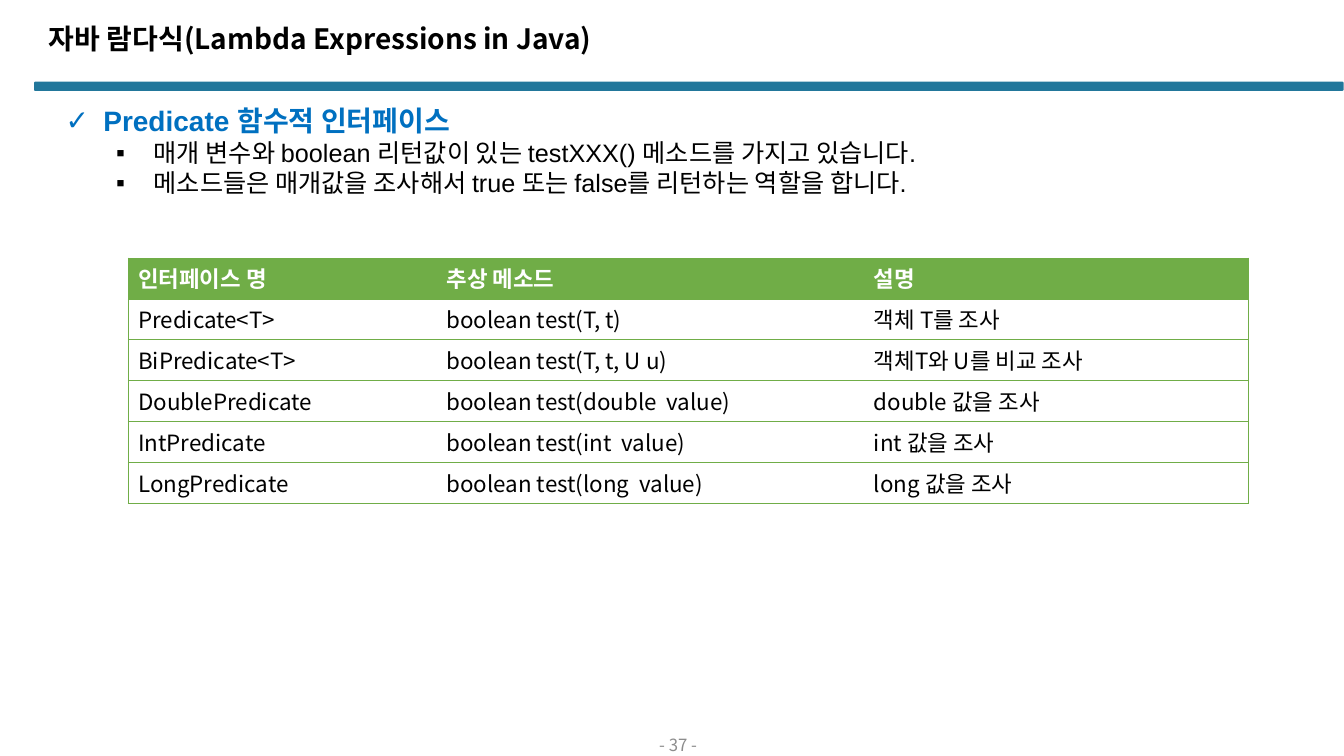
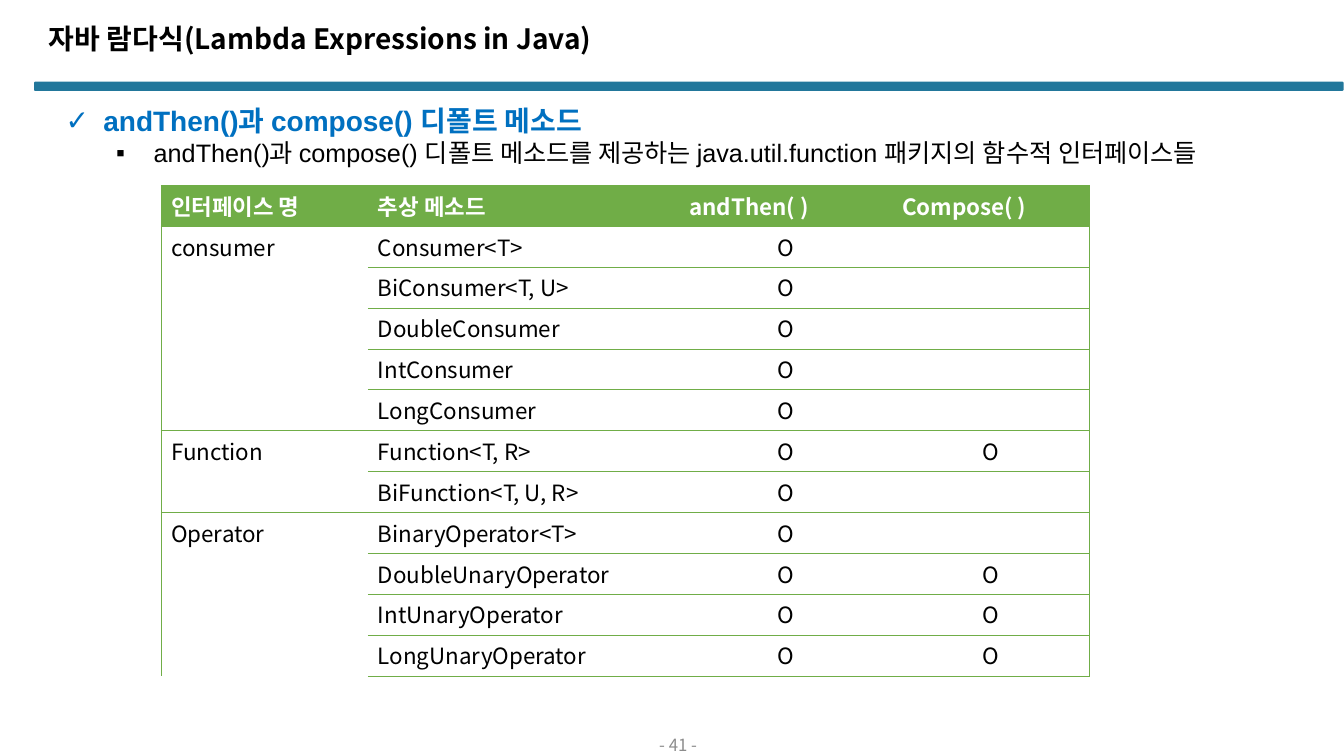
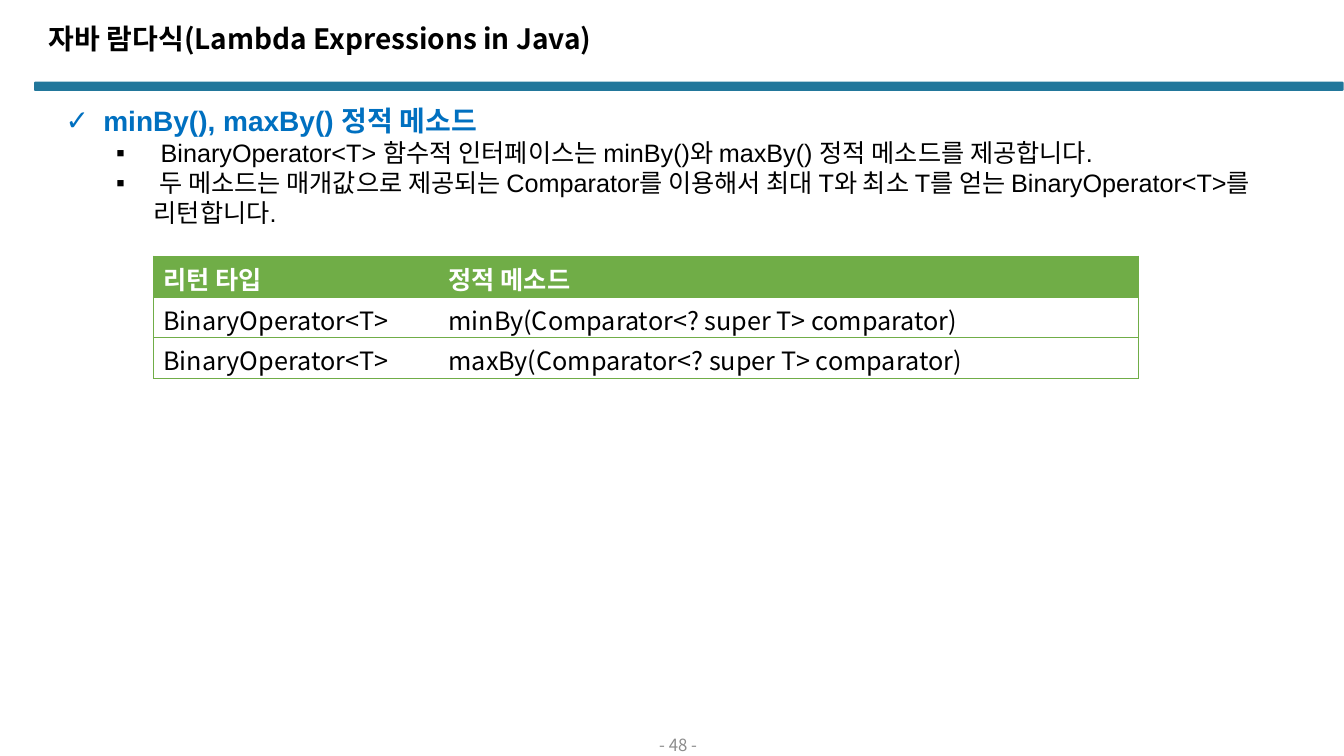
from lxml import etree
from pptx import Presentation
from pptx.dml.color import RGBColor
from pptx.enum.shapes import MSO_SHAPE
from pptx.enum.text import MSO_ANCHOR, MSO_AUTO_SIZE, PP_ALIGN
from pptx.oxml.ns import qn
from pptx.util import Cm, Pt

ROUNDED = MSO_SHAPE.ROUNDED_RECTANGLE
TOP, MIDDLE = MSO_ANCHOR.TOP, MSO_ANCHOR.MIDDLE
LEFT, CENTER = PP_ALIGN.LEFT, PP_ALIGN.CENTER
NO_AUTOFIT = MSO_AUTO_SIZE.NONE

BLACK = RGBColor(0x00, 0x00, 0x00)
WHITE = RGBColor(0xFF, 0xFF, 0xFF)
TEAL = RGBColor(0x22, 0x77, 0x9B)
BLUE = RGBColor(0x00, 0x70, 0xC0)
GREEN = RGBColor(0x70, 0xAD, 0x47)
GRAY = RGBColor(0x8C, 0x8C, 0x8C)

KOREAN_FONT = "Noto Sans CJK KR"
BODY_FONT = "Arial"
PLAIN_TABLE_STYLE = "{2D5ABB26-0587-4C30-8999-92F81FD0307C}"
ROW_HEIGHT = Cm(1.03)
TITLE = "자바 람다식(Lambda Expressions in Java)"

LEVELS = [
    {"bullet": "✓", "margin": 0.95, "size": 20, "pitch": 24, "color": BLUE, "bold": True},
    {"bullet": "▪", "margin": 2.22, "size": 18, "pitch": 21.5, "color": BLACK, "bold": False},
]

PAGES = [
    {
        "number": 37,
        "heading": "Predicate 함수적 인터페이스",
        "points": [
            "매개 변수와 boolean 리턴값이 있는 testXXX() 메소드를 가지고 있습니다.",
            "메소드들은 매개값을 조사해서 true 또는 false를 리턴하는 역할을 합니다.",
        ],
        "body_height": 2.64,
        "table_at": (3.23, 6.5),
        "columns": [7.77, 10.77, 9.68],
        "size": 16,
        "rows": [
            ("인터페이스 명", "추상 메소드", "설명"),
            ("Predicate<T>", "boolean test(T, t)", "객체 T를 조사"),
            ("BiPredicate<T>", "boolean test(T, t, U u)", "객체T와 U를 비교 조사"),
            ("DoublePredicate", "boolean test(double  value)", "double 값을 조사"),
            ("IntPredicate", "boolean test(int  value)", "int 값을 조사"),
            ("LongPredicate", "boolean test(long  value)", "long 값을 조사"),
        ],
    },
    {
        "number": 41,
        "heading": "andThen()과 compose() 디폴트 메소드",
        "points": [
            "andThen()과 compose() 디폴트 메소드를 제공하는 java.util.function 패키지의 함수적 인터페이스들",
        ],
        "body_height": 1.88,
        "table_at": (4.06, 4.67),
        "columns": [5.21, 7.85, 5.36, 4.98],
        "size": 16,
        "rows": [
            ("인터페이스 명", "추상 메소드", "andThen( )", "Compose( )"),
            ("consumer", "Consumer<T>", "O", ""),
            ("", "BiConsumer<T, U>", "O", ""),
            ("", "DoubleConsumer", "O", ""),
            ("", "IntConsumer", "O", ""),
            ("", "LongConsumer", "O", ""),
            ("Function", "Function<T, R>", "O", "O"),
            ("", "BiFunction<T, U, R>", "O", ""),
            ("Operator", "BinaryOperator<T>", "O", ""),
            ("", "DoubleUnaryOperator", "O", "O"),
            ("", "IntUnaryOperator", "O", "O"),
            ("", "LongUnaryOperator", "O", "O"),
        ],
    },
    {
        "number": 48,
        "heading": "minBy(), maxBy() 정적 메소드",
        "points": [
            " BinaryOperator<T> 함수적 인터페이스는 minBy()와 maxBy() 정적 메소드를 제공합니다.",
            " 두 메소드는 매개값으로 제공되는 Comparator를 이용해서 최대 T와 최소 T를 얻는 BinaryOperator<T>를 리턴합니다.",
        ],
        "body_height": 3.43,
        "table_at": (3.86, 6.45),
        "columns": [7.19, 17.65],
        "size": 18,
        "rows": [
            ("리턴 타입", "정적 메소드"),
            ("BinaryOperator<T>", "minBy(Comparator<? super T> comparator)"),
            ("BinaryOperator<T>", "maxBy(Comparator<? super T> comparator)"),
        ],
    },
]
OPEN_GROUPS = {"Operator"}


def set_font(para, size, color, bold=False, name=KOREAN_FONT):
    font = para.font
    font.size, font.bold, font.name = Pt(size), bold, name
    font.color.rgb = color
    east_asian = etree.SubElement(font._element, qn("a:ea"))
    east_asian.set("typeface", KOREAN_FONT)


def place(shape, left, top, width, height):
    shape.left, shape.top = Cm(left), Cm(top)
    shape.width, shape.height = Cm(width), Cm(height)


def add_frame(page, number):
    band = page.shapes.add_shape(ROUNDED, Cm(0.86), Cm(2.06), Cm(33), Cm(0.23))
    band.adjustments[0] = 0.13
    band.shadow.inherit = False
    band.fill.solid()
    band.fill.fore_color.rgb = TEAL
    band.line.fill.background()

    title = page.shapes.title
    place(title, 0.97, 0.64, 30.48, 1.19)
    frame = title.text_frame
    frame.text = TITLE
    frame.auto_size = NO_AUTOFIT
    frame.vertical_anchor = TOP
    frame.margin_top = 0
    para = frame.paragraphs[0]
    para.alignment = LEFT
    para.line_spacing = 0.9
    set_font(para, 20, BLACK, True)

    footer = page.shapes.add_textbox(Cm(13.14), Cm(18.47), Cm(7.9), Cm(0.58))
    frame = footer.text_frame
    frame.word_wrap = True
    frame.vertical_anchor = MIDDLE
    frame.margin_top = frame.margin_bottom = 0
    frame.text = f"- {number} -"
    para = frame.paragraphs[0]
    para.alignment = CENTER
    set_font(para, 12, GRAY)


def add_list(page, heading, points, height):
    body = page.placeholders[1]
    place(body, 1.4, 2.49, 31.6, height)
    frame = body.text_frame
    frame.text = "\n".join([heading, *points])
    frame.auto_size = NO_AUTOFIT
    for index, para in enumerate(frame.paragraphs):
        para.level = min(index, 1)
        style = LEVELS[para.level]
        para.space_before = Pt(0)
        para.line_spacing = Pt(style["pitch"])
        properties = para._p.get_or_add_pPr()
        properties.set("marL", str(Cm(style["margin"])))
        properties.set("indent", str(-Cm(0.95)))
        etree.SubElement(properties, qn("a:buFont")).set("typeface", BODY_FONT)
        etree.SubElement(properties, qn("a:buChar")).set("char", style["bullet"])
        set_font(para, style["size"], style["color"], style["bold"], BODY_FONT)


def cell_edges(rows, row, column):
    def line_above(index):
        if column or index in (0, len(rows)):
            return True
        return rows[index][0] != "" and rows[index][0] not in OPEN_GROUPS

    return {
        "lnL": column == 0,
        "lnR": column == len(rows[0]) - 1,
        "lnT": line_above(row),
        "lnB": line_above(row + 1),
    }


def draw_edges(cell, edges):
    properties = cell._tc.get_or_add_tcPr()
    position = 0
    for tag, shown in edges.items():
        if shown:
            line = etree.Element(qn(f"a:{tag}"), w=str(Pt(0.5)))
            fill = etree.SubElement(line, qn("a:solidFill"))
            etree.SubElement(fill, qn("a:srgbClr")).set("val", str(GREEN))
            properties.insert(position, line)
            position += 1


def add_grid(page, position, columns, rows, size):
    left, top = position
    frame = page.shapes.add_table(
        len(rows), len(columns), Cm(left), Cm(top), Cm(sum(columns)), ROW_HEIGHT * len(rows)
    )
    table = frame.table
    table._tbl.tblPr.find(qn("a:tableStyleId")).text = PLAIN_TABLE_STYLE
    table.horz_banding = False
    for column, width in zip(table.columns, columns):
        column.width = Cm(width)

    for r, values in enumerate(rows):
        table.rows[r].height = ROW_HEIGHT
        header = r == 0
        for c, value in enumerate(values):
            cell = table.cell(r, c)
            cell.margin_top, cell.margin_bottom = Cm(0.1), 0
            cell.text = value
            para = cell.text_frame.paragraphs[0]
            para.alignment = CENTER if value == "O" else LEFT
            set_font(para, size, WHITE if header else BLACK, header)
            if header:
                cell.fill.solid()
                cell.fill.fore_color.rgb = GREEN
            else:
                cell.fill.background()
            draw_edges(cell, cell_edges(rows, r, c))

    starts = [r for r, values in enumerate(rows) if values[0]] + [len(rows)]
    for first, following in zip(starts, starts[1:]):
        if following - first > 1:
            table.cell(first, 0).merge(table.cell(following - 1, 0))


def main():
    deck = Presentation()
    deck.slide_width, deck.slide_height = Cm(33.87), Cm(19.05)
    for content in PAGES:
        page = deck.slides.add_slide(deck.slide_layouts[1])
        add_frame(page, content["number"])
        add_list(page, content["heading"], content["points"], content["body_height"])
        add_grid(page, content["table_at"], content["columns"], content["rows"], content["size"])
    deck.save("out.pptx")


if __name__ == "__main__":
    main()
